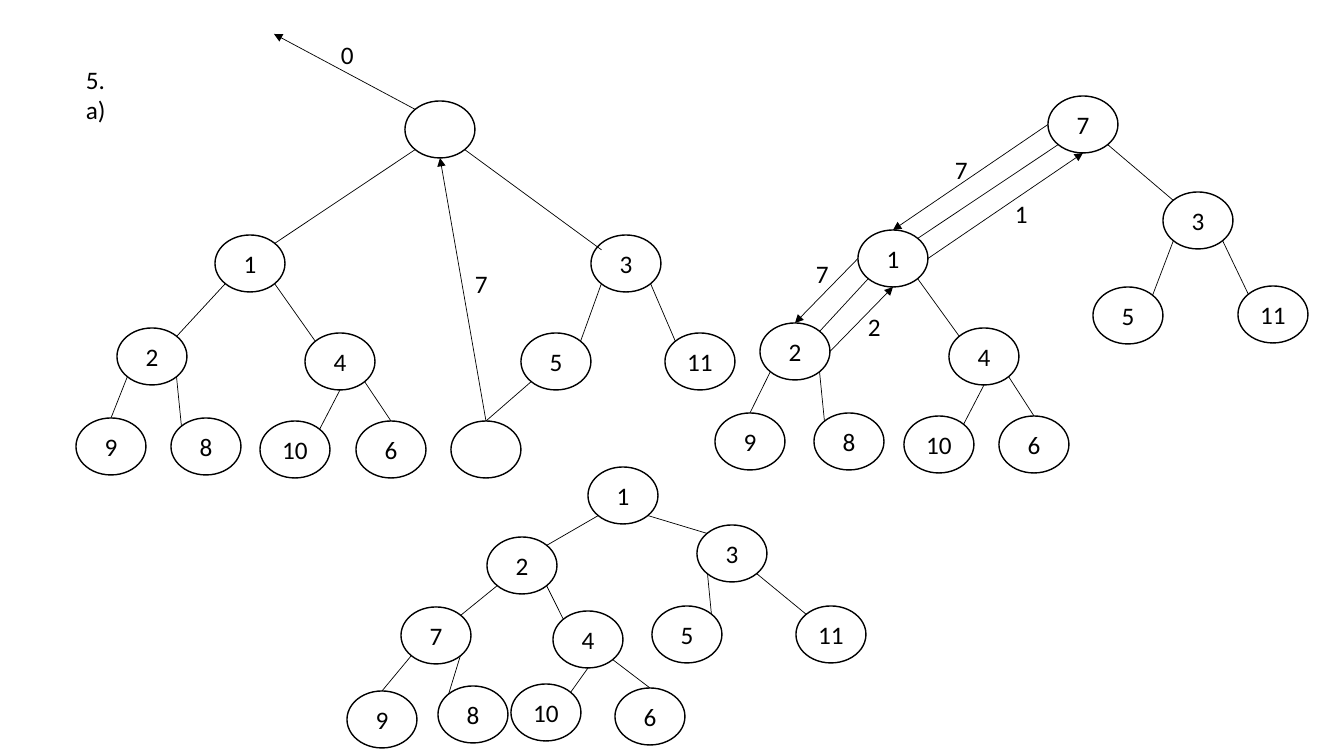
from dataclasses import dataclass

from lxml.etree import SubElement
from pptx import Presentation
from pptx.dml.color import RGBColor as RGB
from pptx.enum.shapes import MSO_CONNECTOR as CONNECTOR, MSO_SHAPE as SHAPE
from pptx.enum.text import MSO_ANCHOR as ANCHOR, PP_ALIGN as ALIGN
from pptx.oxml.ns import qn
from pptx.util import Pt


@dataclass(frozen=True)
class Theme:
    ink: RGB = RGB(0, 0, 0)
    paper: RGB = RGB(255, 255, 255)
    font: str = "Calibri"
    text_size: float = 18
    outline: float = 1
    edge: float = 0.5


theme = Theme()
NODE_W, NODE_H = 70, 57
LABEL_W, LABEL_H = 35, 40

# Attachment points on a node, as fractions of its width and height
SITES = {
    "top": (0.5, 0), "bottom": (0.5, 1), "left": (0, 0.5), "right": (1, 0.5),
    "top left": (0.15, 0.15), "top right": (0.85, 0.15),
    "bottom left": (0.15, 0.85), "bottom right": (0.85, 0.85),
    "inner left": (0.15, 0.26),
}
# Heap positions whose edge departs from the left/right child rule: child site, parent site
SPECIAL_EDGES = {
    8: ("top", "bottom left"), 10: ("top right", "bottom"),
    11: ("top", "bottom right"), 12: ("top", "bottom left"),
}


def px(length):
    return round(length * 914400 / 100.8)


def write(shape, text, align=ALIGN.LEFT, anchor=ANCHOR.TOP):
    frame = shape.text_frame
    frame.word_wrap = True
    frame.vertical_anchor = anchor
    para = frame.paragraphs[0]
    para.alignment = align
    span = para.add_run()
    span.text = text
    span.font.name = theme.font
    span.font.size = Pt(theme.text_size)
    span.font.color.rgb = theme.ink


def add_text(page, text, left, top, width=LABEL_W, height=LABEL_H):
    box = page.shapes.add_textbox(px(left), px(top), px(width), px(height))
    write(box, text)


def add_node(page, text, left, top):
    node = page.shapes.add_shape(SHAPE.OVAL, px(left), px(top), px(NODE_W), px(NODE_H))
    node.shadow.inherit = False
    node.fill.solid()
    node.fill.fore_color.rgb = theme.paper
    node.line.color.rgb = theme.ink
    node.line.width = Pt(theme.outline)
    if text:
        write(node, text, align=ALIGN.CENTER, anchor=ANCHOR.MIDDLE)


def add_line(page, start, end, arrow=False):
    line = page.shapes.add_connector(CONNECTOR.STRAIGHT, *map(px, start + end))
    line.line.color.rgb = theme.ink
    line.line.width = Pt(theme.edge)
    if arrow:
        SubElement(line.line._get_or_add_ln(), qn("a:tailEnd"), type="triangle")
    SubElement(line._element.spPr, qn("a:effectLst"))


def draw_tree(page, origin, nodes, arrows=(), labels=(), edges=SPECIAL_EDGES):
    """Draw a heap listed level by level; the children of node i are 2i and 2i + 1."""
    x, y = origin

    def site(index, name):
        _, left, top = nodes[index - 1]
        across, down = SITES[name]
        return x + left + across * NODE_W, y + top + down * NODE_H

    # Nodes
    for text, left, top in nodes:
        add_node(page, text, x + left, y + top)

    # Edges from child to parent
    for child in range(2, len(nodes) + 1):
        usual = ("top left", "bottom right") if child % 2 else ("top right", "bottom left")
        child_site, parent_site = edges.get(child, usual)
        add_line(page, site(child, child_site), site(child // 2, parent_site))

    # Moves: an end is a (node, site) pair or a free point
    for start, (target, where) in arrows:
        end = site(target, where) if where in SITES else (x + target, y + where)
        add_line(page, site(*start), end, arrow=True)

    # Labels of the moves
    for text, left, top in labels:
        add_text(page, text, x + left, y + top)


def draw_removal(page, origin):
    draw_tree(
        page, origin,
        nodes=[("", 329, 67), ("1", 139, 201), ("3", 515, 201),
               ("2", 41, 294), ("4", 229, 299), ("5", 445, 299), ("11", 589, 299),
               ("9", 0, 384), ("8", 95, 384), ("10", 184, 387), ("6", 280, 387),
               ("", 375, 387)],
        arrows=[((12, "top"), (1, "bottom")), ((1, "top left"), (198, 0))],
        labels=[("7", 389, 229), ("0", 255, 0)],
        edges={**SPECIAL_EDGES, 3: ("inner left", "bottom right")})


def draw_sifting(page, origin):
    draw_tree(
        page, origin,
        nodes=[("7", 333, 0), ("1", 143, 134), ("3", 448, 96),
               ("2", 45, 227), ("4", 234, 232), ("5", 378, 191), ("11", 523, 190),
               ("9", 0, 317), ("8", 99, 317), ("10", 189, 320), ("6", 284, 320)],
        arrows=[((1, "left"), (2, "top")), ((2, "right"), (1, "bottom")),
                ((2, "left"), (4, "top")), ((4, "right"), (2, "bottom"))],
        labels=[("7", 230, 53), ("1", 290, 97), ("7", 91, 157), ("2", 143, 210)])


def draw_result(page, origin):
    draw_tree(
        page, origin,
        nodes=[("1", 241, 0), ("2", 140, 70), ("3", 350, 58),
               ("7", 54, 140), ("4", 206, 144), ("5", 305, 139), ("11", 449, 139),
               ("9", 0, 224), ("8", 91, 219), ("10", 164, 217), ("6", 268, 221)])


deck = Presentation()
deck.slide_width, deck.slide_height = px(1344), px(756)
page = deck.slides.add_slide(deck.slide_layouts[6])

add_text(page, "5. a)", 76, 59, width=54, height=72)
draw_removal(page, (76, 34))
draw_sifting(page, (715, 96))
draw_result(page, (347, 467))

deck.save("out.pptx")
